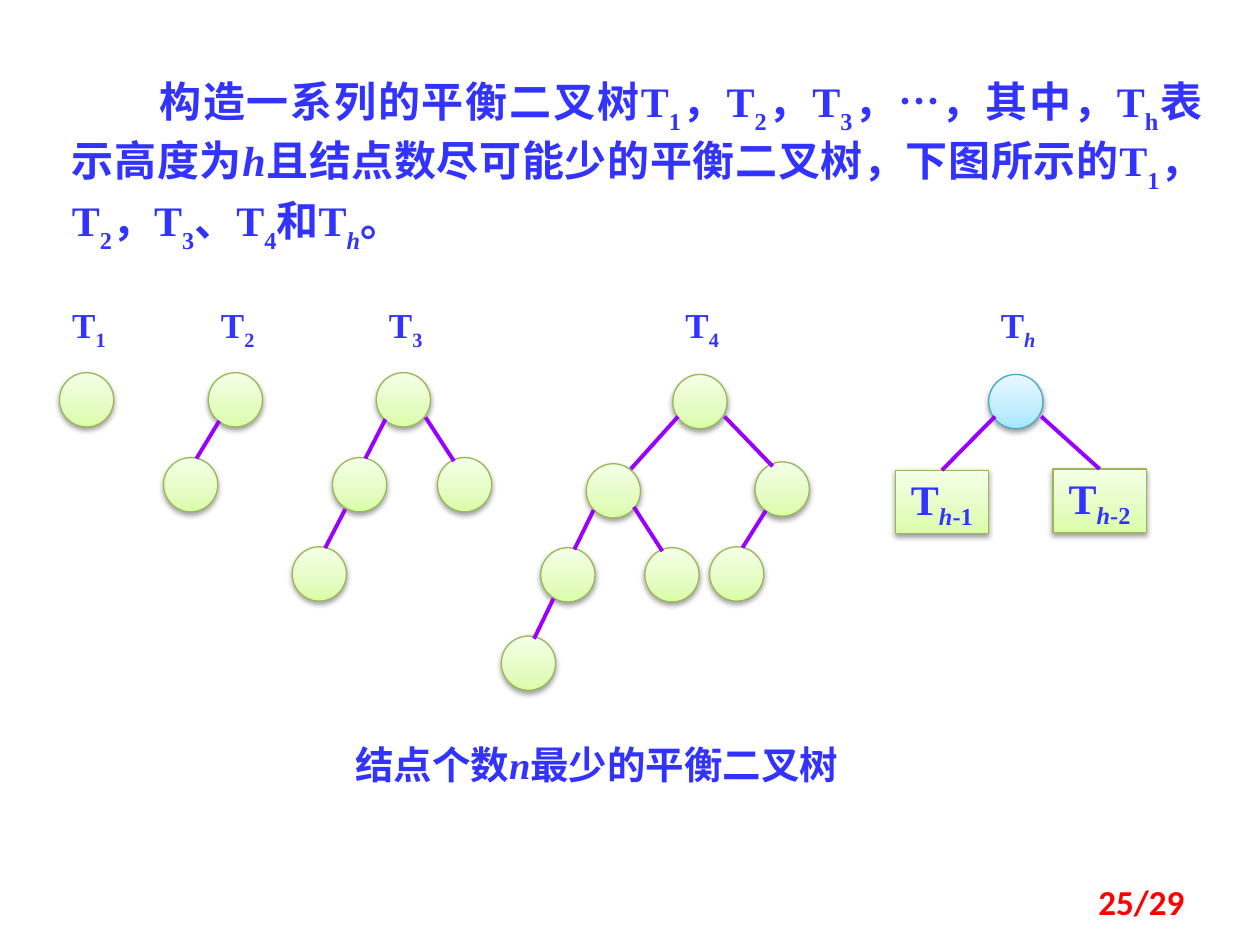
"""Build the slide on balanced binary trees with the fewest nodes."""
import copy

import pptx
import pptx.dml.color
import pptx.enum.shapes
import pptx.enum.text
import pptx.oxml
import pptx.oxml.ns
import pptx.oxml.xmlchemy
import pptx.util

Pt = pptx.util.Pt
RGBColor = pptx.dml.color.RGBColor
qn = pptx.oxml.ns.qn
ALIGN = pptx.enum.text.PP_ALIGN
MIDDLE = pptx.enum.text.MSO_ANCHOR.MIDDLE
SHAPE = pptx.enum.shapes.MSO_SHAPE
CONNECTOR = pptx.enum.shapes.MSO_CONNECTOR.STRAIGHT

COLORS = {"text": "3333FF", "edge": "9900FF", "page": "FF0000"}
PALETTES = {
    "green": {"stops": ["DAFDA7", "E4FCC2", "F5FFE7"], "line": "98B955"},
    "blue": {"stops": ["A7E6FF", "C1EDFF", "E7F8FF"], "line": "46AAC5"},
}
SERIF, CJK = "Times New Roman", "Noto Sans CJK SC"
NODE_SIZE = 31
SHADOW = (
    '<a:outerShdw xmlns:a="http://schemas.openxmlformats.org/drawingml/2006/main" '
    'blurRad="40000" dist="20000" dir="5400000" rotWithShape="0">'
    '<a:srgbClr val="000000"><a:alpha val="38000"/></a:srgbClr></a:outerShdw>'
)


def write_runs(paragraph, marked_text, size, subscript=-25, name=SERIF, color="text"):
    """Write runs split by |; a leading _ lowers a run, * slants it, ~ does both."""
    for piece in marked_text.split("|"):
        style = piece[0] if piece[0] in "_*~" else ""
        run = paragraph.add_run()
        run.text = piece[len(style):]
        run.font.size = Pt(size)
        run.font.bold = True
        run.font.italic = style in ("*", "~")
        run.font.color.rgb = RGBColor.from_string(COLORS[color])
        run.font.name = CJK if run.text == "…" else name
        if style in ("_", "~"):
            run.font._element.set("baseline", str(subscript * 1000))


def add_node(kind, left, top, width, height, palette):
    """Add a tree node with gradient fill, outline and soft shadow."""
    shape = slide.shapes.add_shape(kind, Pt(left), Pt(top), Pt(width), Pt(height))
    shape.fill.gradient()
    stop_list = shape._element.spPr.find(".//" + qn("a:gsLst"))
    stop_list.append(copy.deepcopy(stop_list[0]))
    for stop, position, color in zip(shape.fill.gradient_stops, (0, 0.35, 1), palette["stops"]):
        stop.position = position
        stop.color.rgb = RGBColor.from_string(color)
    shape.fill.gradient_angle = 90
    shape.line.color.rgb = RGBColor.from_string(palette["line"])
    shape.line.width = Pt(0.75)
    shape.shadow.inherit = False
    shape._element.spPr.find(qn("a:effectLst")).append(pptx.oxml.parse_xml(SHADOW))
    return shape


presentation = pptx.Presentation()
presentation.slide_width, presentation.slide_height = Pt(720), Pt(540)
slide = presentation.slides.add_slide(presentation.slide_layouts[6])

introduction = slide.shapes.add_textbox(Pt(34), Pt(39.6), Pt(660), Pt(94.5))
introduction.text_frame.word_wrap = True
paragraph = introduction.text_frame.paragraphs[0]
paragraph.alignment = ALIGN.JUSTIFY
paragraph._p.get_or_add_pPr().set("indent", str(Pt(50)))
write_runs(
    paragraph,
    "构造一系列的平衡二叉树T|_1|，T|_2|，T|_3|，|…|，其中，T|_h|表示高度为|*h|"
    "且结点数尽可能少的平衡二叉树，下图所示的T|_1|，T|_2|，T|_3|、T|_4|和T|~h|。",
    24, subscript=-30)

caption = slide.shapes.add_textbox(Pt(196), Pt(412), Pt(340.5), Pt(41.5))
caption.text_frame.word_wrap = True
paragraph = caption.text_frame.paragraphs[0]
paragraph.alignment = ALIGN.JUSTIFY
paragraph.line_spacing = 1.3
write_runs(paragraph, "结点个数|*n|最少的平衡二叉树", 22)

trees = [
    ("T|_1", "green", [(34, 213)], []),
    ("T|_2", "green", [(119, 213), (93.5, 261.5)], [(125.3, 240.5, 112.3, 262)]),
    ("T|_3", "green", [(215, 213), (190, 261.5), (167, 312.5), (250, 261.5)],
     [(220.3, 239.5, 208.8, 262), (197.3, 291, 185.8, 313.2), (243.2, 238.5, 259.4, 263.5)]),
    ("T|_4", "green",
     [(384.5, 214), (335, 265), (309, 313), (286.5, 363.5), (368.5, 313),
      (431.5, 264), (405.5, 312.5)],
     [(387.5, 238, 360.5, 268), (414, 238, 441.5, 266.5), (339.2, 291.5, 328.2, 314),
      (316.3, 342, 305.2, 365), (362.2, 289.7, 378.5, 315), (437.6, 291.8, 424.3, 313)]),
    ("T|~h", "blue", [(565, 214)], []),
]
edges = []
for label, palette_name, nodes, tree_edges in trees:
    label_box = slide.shapes.add_textbox(Pt(nodes[0][0] - 3), Pt(173.5), Pt(39.6), Pt(24))
    frame = label_box.text_frame
    frame.margin_left = frame.margin_right = frame.margin_top = frame.margin_bottom = 0
    frame.word_wrap = True
    frame.paragraphs[0].alignment = ALIGN.CENTER
    write_runs(frame.paragraphs[0], label, 20)
    for left, top in nodes:
        add_node(SHAPE.OVAL, left, top, NODE_SIZE, NODE_SIZE, PALETTES[palette_name])
    edges += [(edge, None) for edge in tree_edges]

subtrees = [
    ("T|~h|_-1", 511.6, 268.7, (568.6, 238)),
    ("T|~h|_-2", 601.7, 268, (595, 238)),
]
for label, left, top, start in subtrees:
    subtree = add_node(SHAPE.RECTANGLE, left, top, 53.3, 36.3, PALETTES["green"])
    frame = subtree.text_frame
    frame.word_wrap = False
    frame.vertical_anchor = MIDDLE
    frame.paragraphs[0].alignment = ALIGN.CENTER
    write_runs(frame.paragraphs[0], label, 24)
    edges.append(((*start, left + 53.3 / 2, top), subtree))

for points, subtree in edges:
    connector = slide.shapes.add_connector(CONNECTOR, *[Pt(value) for value in points])
    connector.line.color.rgb = RGBColor.from_string(COLORS["edge"])
    connector.line.width = Pt(2.25)
    connector._element.spPr.append(pptx.oxml.xmlchemy.OxmlElement("a:effectLst"))
    if subtree is not None:
        connector.end_connect(subtree, 0)

page_number = slide.shapes.add_textbox(Pt(516), Pt(500.5), Pt(168), Pt(28.8))
page_number.text_frame.word_wrap = True
page_number.text_frame.vertical_anchor = MIDDLE
paragraph = page_number.text_frame.paragraphs[0]
paragraph.alignment = ALIGN.RIGHT
write_runs(paragraph, "25/29", 20, name="Calibri", color="page")

presentation.save("out.pptx")
